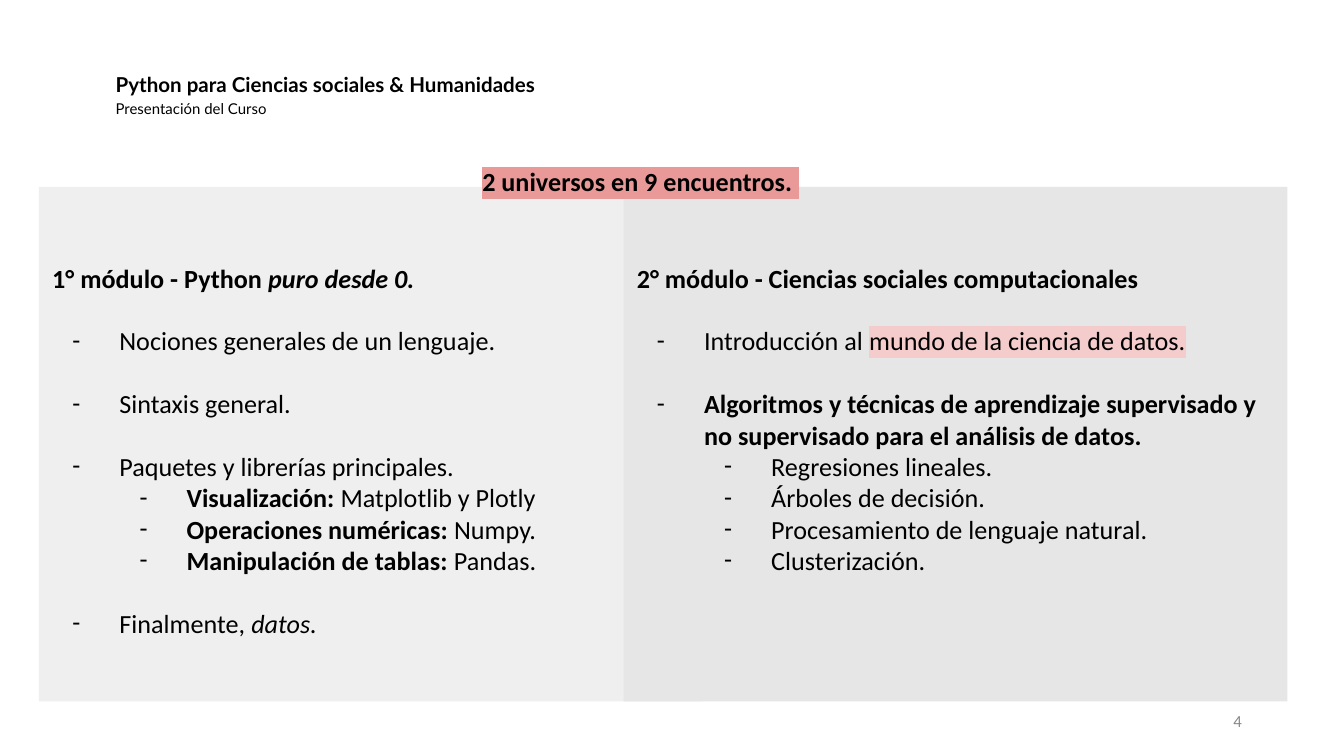
from dataclasses import dataclass

from lxml import etree
from pptx import Presentation
from pptx.dml.color import RGBColor
from pptx.enum.shapes import MSO_SHAPE
from pptx.enum.text import MSO_ANCHOR, PP_ALIGN
from pptx.oxml.ns import qn
from pptx.util import Inches, Pt

RECT = MSO_SHAPE.RECTANGLE
TOP, MIDDLE = MSO_ANCHOR.TOP, MSO_ANCHOR.MIDDLE
LEFT, RIGHT = PP_ALIGN.LEFT, PP_ALIGN.RIGHT


@dataclass(frozen=True)
class Theme:
    """Colours, fonts and type sizes."""
    ink: str = "000000"
    muted: str = "888888"
    pale: str = "EFEFEF"
    grey: str = "E7E6E6"
    rose: str = "EA9999"
    blush: str = "F4CCCC"
    body: str = "Calibri"
    head: str = "Lato"
    text: int = 14
    title: int = 11
    note: int = 8
    page: int = 9
    gap: float = 16.8


THEME = Theme()


def add_run(para, text, bold=False, italic=False, size=THEME.text,
            face=THEME.body, color=THEME.ink, mark=None):
    """Add one styled run, with an optional highlight."""
    run = para.add_run()
    run.text = text
    font = run.font
    font.size, font.name = Pt(size), face
    font.bold, font.italic = bold, italic
    font.color.rgb = RGBColor.from_string(color)
    if mark:
        light = etree.Element(qn("a:highlight"))
        etree.SubElement(light, qn("a:srgbClr"), val=mark)
        run._r.get_or_add_rPr().find(qn("a:solidFill")).addnext(light)


def set_dash(para, level):
    """Give a paragraph a hanging dash for its level."""
    para.level = level
    props = para._p.get_or_add_pPr()
    props.set("marL", str(Inches(0.5 * (level + 1))))
    props.set("indent", str(Inches(-0.35)))
    tint = etree.SubElement(props, qn("a:buClr"))
    etree.SubElement(tint, qn("a:srgbClr"), val=THEME.ink)
    etree.SubElement(props, qn("a:buFont"), typeface=THEME.body)
    etree.SubElement(props, qn("a:buChar"), char="-")


def set_frame(shape, side, top, anchor=TOP):
    """Set wrap, margins and anchor, and return the text frame."""
    frame = shape.text_frame
    frame.word_wrap = True
    frame.margin_left = frame.margin_right = Inches(side)
    frame.margin_top = frame.margin_bottom = Inches(top)
    frame.vertical_anchor = anchor
    return frame


def add_label(slide, box, side, top, anchor=TOP):
    """Add a text box and return its frame."""
    shape = slide.shapes.add_textbox(*map(Inches, box))
    return set_frame(shape, side, top, anchor)


def add_header(slide, box):
    """Add the course title and its subtitle."""
    frame = add_label(slide, box, 0.07, 0.08)
    lines = [("Python para Ciencias sociales & Humanidades", True, THEME.title),
             ("Presentación del Curso", False, THEME.note)]
    for i, (text, bold, size) in enumerate(lines):
        para = frame.add_paragraph() if i else frame.paragraphs[0]
        para.line_spacing = 1.15
        add_run(para, text, bold, size=size, face=THEME.head)


def add_module(slide, box, fill, title, items):
    """Add a module panel: a heading and (level, gap, runs) items."""
    panel = slide.shapes.add_shape(RECT, *map(Inches, box))
    panel.shadow.inherit = False
    panel.fill.solid()
    panel.fill.fore_color.rgb = RGBColor.from_string(fill)
    panel.line.fill.background()
    frame = set_frame(panel, 0.1, 0.1)
    frame.margin_top = Inches(0.56)
    head = frame.paragraphs[0]
    head.alignment = LEFT
    for text, style in title:
        add_run(head, text, bold=True, **style)
    for level, gap, runs in items:
        para = frame.add_paragraph()
        para.alignment = LEFT
        para.space_before = Pt(THEME.gap if gap else 0)
        set_dash(para, level)
        for text, style in runs:
            add_run(para, text, **style)


def add_banner(slide, box):
    """Add the highlighted line above the panels."""
    frame = add_label(slide, box, 0.1, 0.1)
    add_run(frame.paragraphs[0], "2 universos en 9 encuentros. ",
            bold=True, mark=THEME.rose)


def add_page(slide, box):
    """Add the page number."""
    para = add_label(slide, box, 0.07, 0.04, MIDDLE).paragraphs[0]
    para.alignment = RIGHT
    add_run(para, "4", size=THEME.page, color=THEME.muted)


def main():
    """Build the slide and save it."""
    deck = Presentation()
    deck.slide_width = Inches(10)
    deck.slide_height = Inches(10) * 9 // 16
    slide = deck.slides.add_slide(deck.slide_layouts[6])
    bold, slant = {"bold": True}, {"italic": True}
    tools = [("Visualización:", " Matplotlib y Plotly"),
             ("Operaciones numéricas:", " Numpy."),
             ("Manipulación de tablas:", " Pandas.")]
    topics = ["Regresiones lineales.", "Árboles de decisión.",
              "Procesamiento de lenguaje natural.", "Clusterización."]
    basics = ["Nociones generales de un lenguaje.", "Sintaxis general.",
              "Paquetes y librerías principales."]
    first = [
        *[(0, True, [(text, {})]) for text in basics],
        *[(1, False, [(use, bold), (names, {})]) for use, names in tools],
        (0, True, [("Finalmente, ", {}), ("datos.", slant)]),
    ]
    second = [
        (0, True, [("Introducción al ", {}),
                   ("mundo de la ciencia de datos.", {"mark": THEME.blush})]),
        (0, True, [("Algoritmos y técnicas de aprendizaje supervisado y "
                    "no supervisado para el análisis de datos.", bold)]),
        *[(1, False, [(text, {})]) for text in topics],
    ]
    add_page(slide, (7.06, 5.21, 2.25, 0.3))
    add_header(slide, (0.79, 0.43, 8.7, 0.83))
    add_module(slide, (0.29, 1.39, 4.94, 3.83), THEME.pale,
               [("1° módulo - Python ", {}), ("puro desde 0.", slant)], first)
    add_module(slide, (4.64, 1.39, 4.94, 3.83), THEME.grey,
               [("2° módulo - Ciencias sociales computacionales", {})], second)
    add_banner(slide, (3.49, 1.13, 4.41, 0.3))
    deck.save("out.pptx")


if __name__ == "__main__":
    main()
